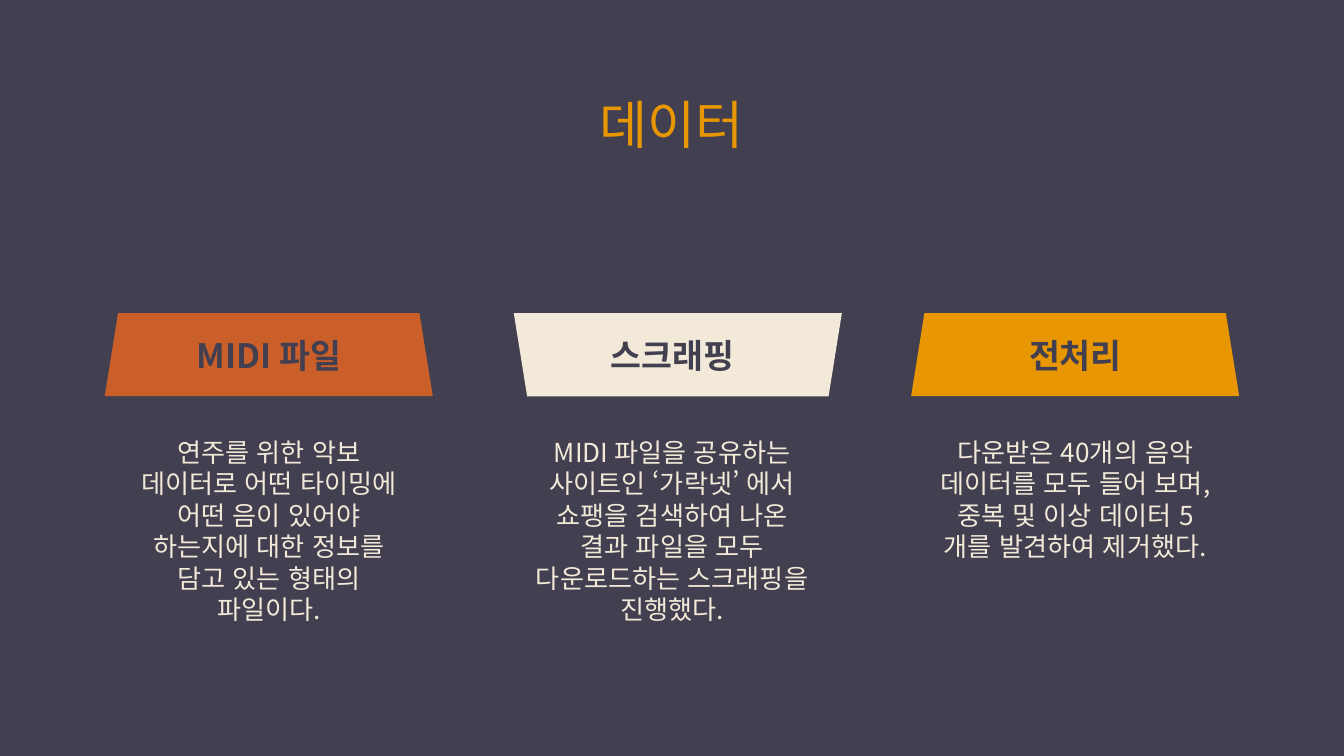
from lxml import etree
from pptx import Presentation
from pptx.dml.color import RGBColor
from pptx.enum.lang import MSO_LANGUAGE_ID
from pptx.enum.shapes import MSO_SHAPE
from pptx.enum.text import MSO_ANCHOR, PP_ALIGN
from pptx.oxml.ns import qn
from pptx.util import Cm, Pt

TRAPEZOID = MSO_SHAPE.TRAPEZOID
TOP, MIDDLE = MSO_ANCHOR.TOP, MSO_ANCHOR.MIDDLE
CENTER = PP_ALIGN.CENTER
KOREAN = MSO_LANGUAGE_ID.KOREAN
FONT = "Noto Sans CJK KR"
DARK, ORANGE, RUST, CREAM = "413F50", "E89702", "CA5F29", "F2E9D8"


def color(hex_code):
    return RGBColor.from_string(hex_code)


def add_text(left, top, width, height, text, size, hex_code, bold=False, anchor=TOP):
    """Add a centred text box with the font set for Latin and Korean."""
    frame = slide.shapes.add_textbox(Cm(left), Cm(top), Cm(width), Cm(height)).text_frame
    frame.word_wrap = True
    frame.vertical_anchor = anchor
    frame.margin_left = frame.margin_right = Cm(0.25)
    frame.margin_top = frame.margin_bottom = Cm(0.25)
    paragraph = frame.paragraphs[0]
    paragraph.alignment = CENTER
    run = paragraph.add_run()
    run.text = text
    run.font.name = FONT
    run.font.size = Pt(size)
    run.font.bold = bold
    run.font.language_id = KOREAN
    run.font.color.rgb = color(hex_code)
    etree.SubElement(run.font._element, qn("a:ea"), typeface=FONT)


prs = Presentation()
prs.slide_width, prs.slide_height = Cm(25.4), Cm(14.29)
slide = prs.slides.add_slide(prs.slide_layouts[6])
slide.background.fill.solid()
slide.background.fill.fore_color.rgb = color(DARK)

add_text(1.98, 1.5, 21.44, 1.93, "데이터", 28, ORANGE)

# Banner left, banner rotation, banner colour, heading, description
steps = [
    (1.98, 0, RUST, "MIDI 파일",
     "연주를 위한 악보 데이터로 어떤 타이밍에 어떤 음이 있어야 "
     "하는지에 대한 정보를 담고 있는 형태의 파일이다."),
    (9.71, 180, CREAM, "스크래핑",
     "MIDI 파일을 공유하는 사이트인 ‘가락넷’ 에서 쇼팽을 검색하여 나온 "
     "결과 파일을 모두 다운로드하는 스크래핑을 진행했다."),
    (17.22, 0, ORANGE, "전처리",
     "다운받은 40개의 음악 데이터를 모두 들어 보며, 중복 및 이상 데이터 "
     "5개를 발견하여 제거했다."),
]
for column, (banner_left, rotation, fill, heading, description) in enumerate(steps):
    banner = slide.shapes.add_shape(TRAPEZOID, Cm(banner_left), Cm(5.92), Cm(6.2), Cm(1.57))
    banner.adjustments[0] = 0.16
    banner.rotation = rotation
    banner.shadow.inherit = False
    banner.fill.solid()
    banner.fill.fore_color.rgb = color(fill)
    banner.line.fill.background()

    text_left = 2.24 + column * 7.62
    add_text(text_left, 5.92, 5.69, 1.57, heading, 18, DARK, bold=True, anchor=MIDDLE)
    add_text(text_left, 8, 5.69, 3.3, description, 14, CREAM)

prs.save("out.pptx")
